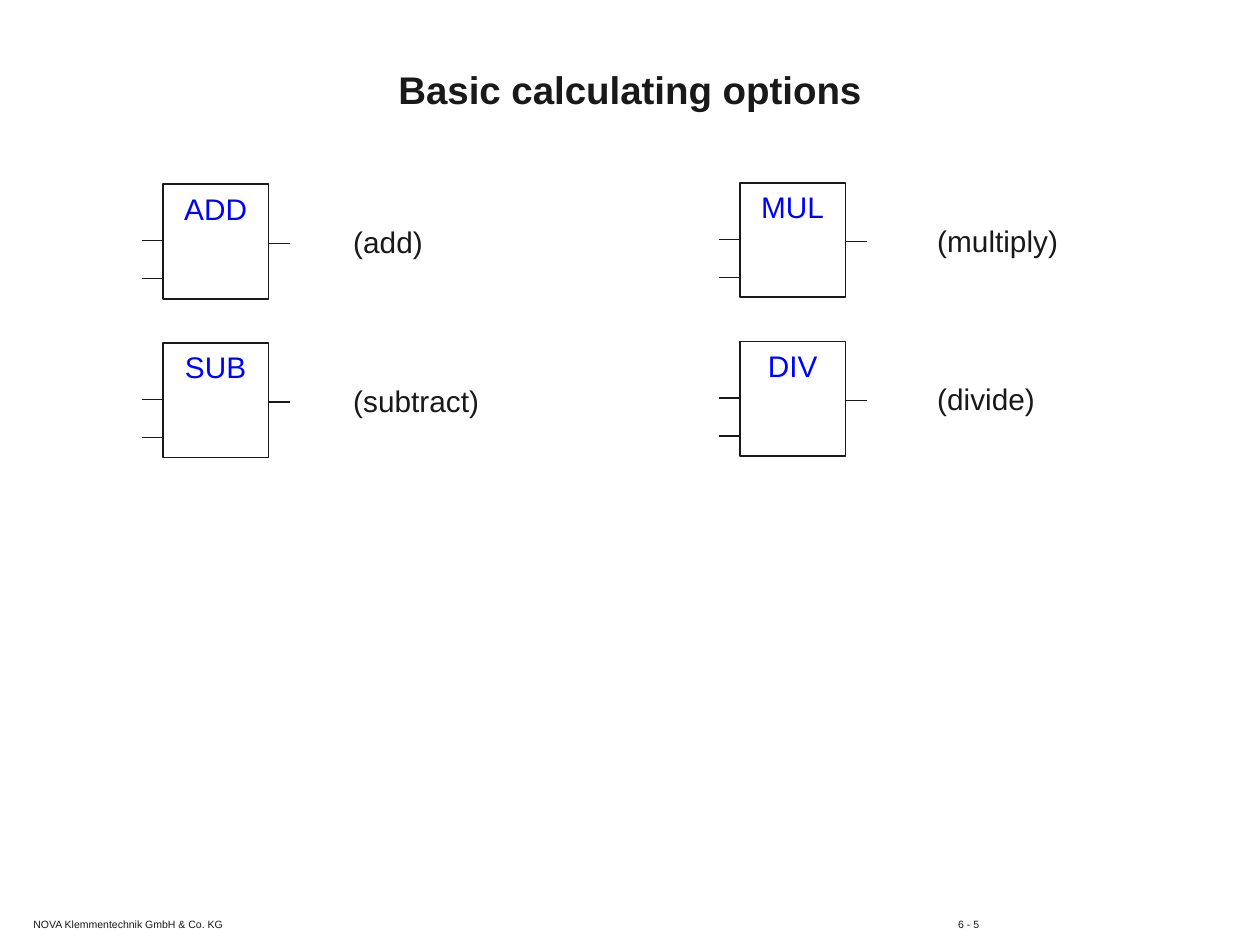
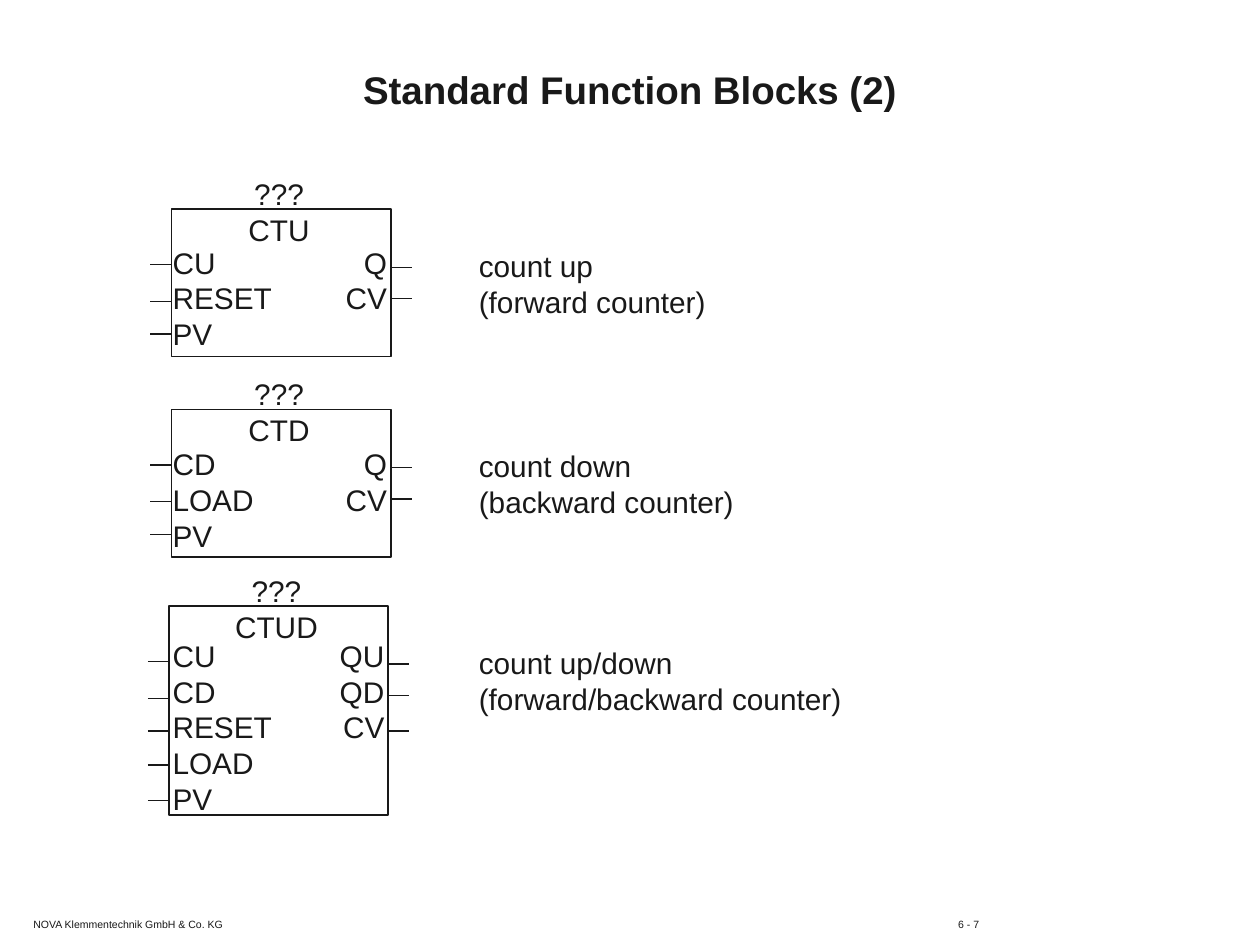
from lxml.etree import SubElement
from pptx import Presentation
from pptx.dml.color import RGBColor
from pptx.enum.shapes import MSO_CONNECTOR as CONN, MSO_SHAPE as SHAPE
from pptx.enum.text import MSO_ANCHOR as ANCHOR, PP_ALIGN as ALIGN
from pptx.oxml.ns import qn
from pptx.util import Pt

COLORS = {"ink": "191919", "operator": "0000FF"}
FONT = "Arial"
COMPANY = "NOVA Klemmentechnik GmbH & Co. KG"
STUB = 12
INSET = 7.2

OPERATOR_SIZE = (60.5, 65.5)
OPERATOR_INS, OPERATOR_OUTS = (32.4, 54), (33.8,)

COUNTER_WIDTH = 125.3
COUNTER_INS = (31.7, 52.6, 71.3, 90.7, 110.9)
COUNTER_OUTS = (33.1, 51.1, 71.3)
COUNTER_CAPTION_X = 266.5


def write(tf, text, size=17, color="ink", bold=False, align=ALIGN.LEFT,
          anchor=ANCHOR.TOP, inset_y=3.6, tab=None):
    """Fill a text frame, one paragraph a line; tab is (position, alignment)."""
    tf.word_wrap = True
    tf.vertical_anchor = anchor
    tf.margin_left = tf.margin_right = Pt(INSET)
    tf.margin_top = tf.margin_bottom = Pt(inset_y)
    for i, line in enumerate(text.split("\n")):
        p = tf.add_paragraph() if i else tf.paragraphs[0]
        p.alignment = align
        p.line_spacing = 1.0
        if tab:
            stops = SubElement(p._p.get_or_add_pPr(), qn("a:tabLst"))
            SubElement(stops, qn("a:tab"), pos=str(Pt(tab[0])), algn=tab[1])
        r = p.add_run()
        r.text = line
        r.font.name = FONT
        r.font.size = Pt(size)
        r.font.bold = bold
        r.font.color.rgb = RGBColor.from_string(COLORS[color])


def add_text(s, text, x, y, w, h, **fmt):
    sp = s.shapes.add_textbox(Pt(x), Pt(y), Pt(w), Pt(h))
    write(sp.text_frame, text, **fmt)


def add_box(s, x, y, w, h):
    sp = s.shapes.add_shape(SHAPE.RECTANGLE, Pt(x), Pt(y), Pt(w), Pt(h))
    sp.shadow.inherit = False
    sp.fill.background()
    sp.line.color.rgb = RGBColor.from_string(COLORS["ink"])
    sp.line.width = Pt(1)
    return sp


def add_stubs(s, x, y, offsets):
    """Draw short pin lines that start at x, at the offsets below y."""
    for dy in offsets:
        line = s.shapes.add_connector(CONN.STRAIGHT, Pt(x), Pt(y + dy),
                                      Pt(x + STUB), Pt(y + dy))
        line.line.color.rgb = RGBColor.from_string(COLORS["ink"])
        line.line.width = Pt(0.75)
        SubElement(line._element.spPr, qn("a:effectLst"))


def add_block(s, x, y, w, h, ins, outs):
    """Draw a box with input stubs on its left and output stubs on its right."""
    sp = add_box(s, x, y, w, h)
    add_stubs(s, x - STUB, y, ins)
    add_stubs(s, x + w, y, outs)
    return sp


def add_operator(s, x, y, name, caption, caption_dx):
    sp = add_block(s, x, y, *OPERATOR_SIZE, OPERATOR_INS, OPERATOR_OUTS)
    write(sp.text_frame, name, color="operator", align=ALIGN.CENTER)
    add_text(s, caption, x + caption_dx, y + 19.2, 150, 28)


def add_counter(s, x, y, h, name, inputs, outputs, caption, pins_at):
    """Draw a counter block; pins_at is the offset of its pin names."""
    add_block(s, x, y, COUNTER_WIDTH, h,
              COUNTER_INS[:len(inputs)], COUNTER_OUTS[:len(outputs)])
    add_text(s, f"???\n{name}", x + 29.5, y - 22.7, 64, 48, align=ALIGN.CENTER)

    dx, dy = pins_at
    rows = [f"{pin}\t{outputs[i]}" if i < len(outputs) else pin
            for i, pin in enumerate(inputs)]
    output_edge = COUNTER_WIDTH - 2 - dx - INSET
    add_text(s, "\n".join(rows), x + dx, y + dy, 142.5, 7.2 + 20.5 * len(rows),
             tab=(output_edge, "r"))
    add_text(s, caption, COUNTER_CAPTION_X, y + 18.4, 273, 48)


def add_page(prs, title, page):
    s = prs.slides.add_slide(prs.slide_layouts[6])
    add_text(s, f"{COMPANY}\t{page}", 12, 521.7, 568, 13.7, size=6,
             inset_y=2.9, tab=(528.5, "l"))
    add_text(s, title, 27.4, 32.9, 665.2, 36, size=22, bold=True,
             align=ALIGN.CENTER, anchor=ANCHOR.MIDDLE)
    return s


def build_operators(prs):
    s = add_page(prs, "Basic calculating options", "6 - 5")
    columns = [
        (93, 105.2, 101.8, [("ADD", "(add)"), ("SUB", "(subtract)")]),
        (422.7, 104.4, 105.8, [("MUL", "(multiply)"), ("DIV", "(divide)")]),
    ]
    for x, top, caption_dx, operators in columns:
        for row, (name, caption) in enumerate(operators):
            add_operator(s, x, top + 90.7 * row, name, caption, caption_dx)


def build_counters(prs):
    s = add_page(prs, "Standard Function Blocks (2)", "6 - 7")
    add_counter(s, 98, 119.6, 84.2, "CTU", ["CU", "RESET", "PV"], ["Q", "CV"],
                "count up\n(forward counter)", (-6.5, 16.5))
    add_counter(s, 98, 234, 84.2, "CTD", ["CD", "LOAD", "PV"], ["Q", "CV"],
                "count down\n(backward counter)", (-6.5, 17.3))
    add_counter(s, 96.5, 346.4, 119.5, "CTUD",
                ["CU", "CD", "RESET", "LOAD", "PV"], ["QU", "QD", "CV"],
                "count up/down\n(forward/backward counter)", (-5, 14.4))


def main():
    prs = Presentation()
    prs.slide_width, prs.slide_height = Pt(720), Pt(540)
    build_operators(prs)
    build_counters(prs)
    prs.save("out.pptx")


if __name__ == "__main__":
    main()
